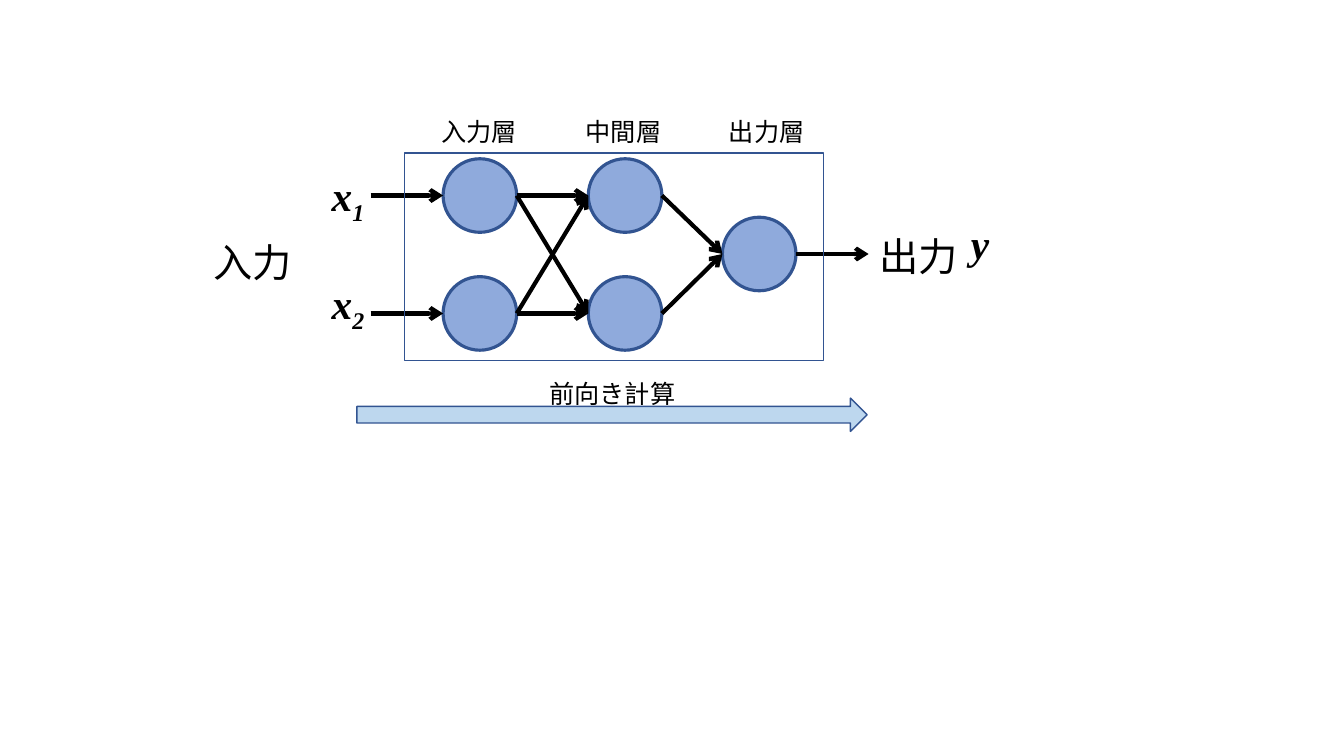
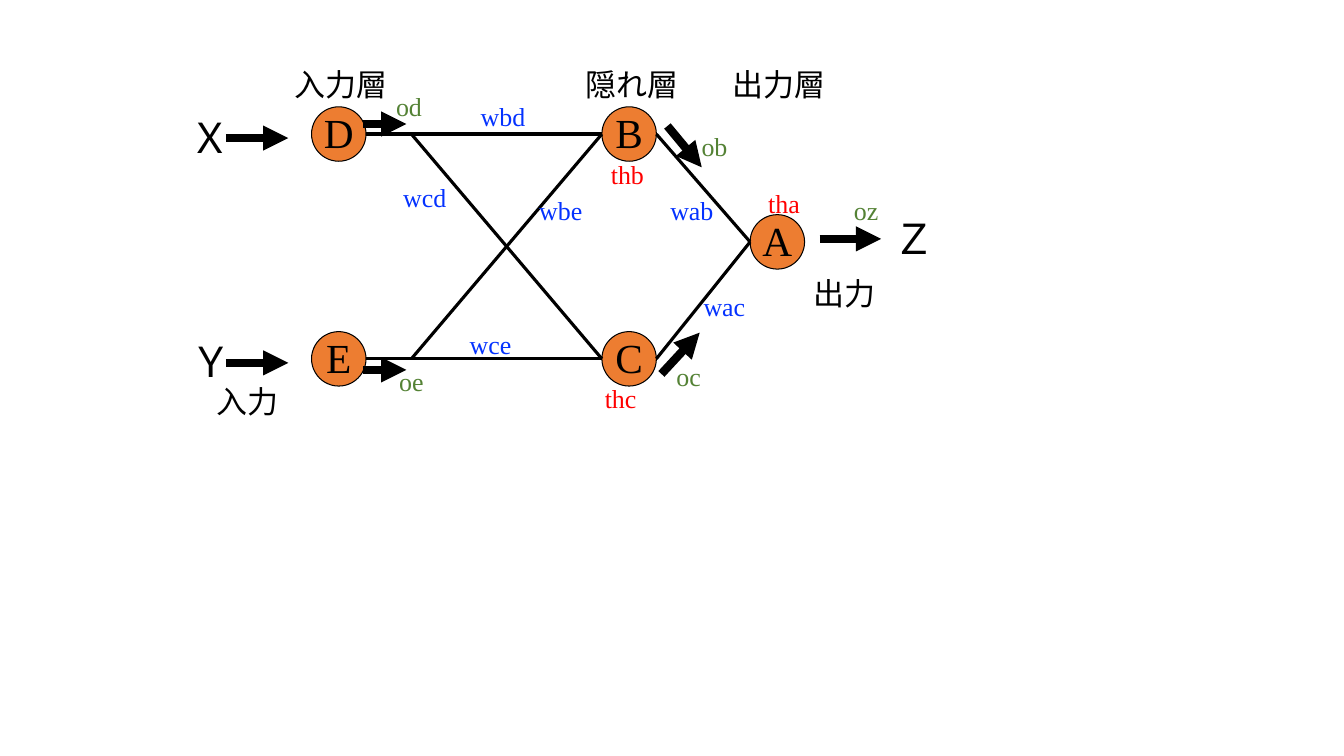
"""Two slides of neural network diagrams: forward pass, and named weights."""
from lxml import etree
from pptx import Presentation
from pptx.dml.color import RGBColor
from pptx.enum.shapes import MSO_CONNECTOR, MSO_SHAPE
from pptx.enum.text import MSO_ANCHOR, MSO_AUTO_SIZE, PP_ALIGN
from pptx.oxml.ns import qn
from pptx.util import Inches, Pt

STRAIGHT = MSO_CONNECTOR.STRAIGHT
OVAL, RECT, RIGHT_ARROW = MSO_SHAPE.OVAL, MSO_SHAPE.RECTANGLE, MSO_SHAPE.RIGHT_ARROW
CENTER, MIDDLE = PP_ALIGN.CENTER, MSO_ANCHOR.MIDDLE
GROW = MSO_AUTO_SIZE.SHAPE_TO_FIT_TEXT

BLACK = RGBColor(0x00, 0x00, 0x00)
NAVY = RGBColor(0x32, 0x54, 0x91)
SOFT_BLUE = RGBColor(0x8F, 0xAA, 0xDC)
PALE_BLUE = RGBColor(0xBD, 0xD7, 0xEE)
ORANGE = RGBColor(0xED, 0x7D, 0x31)
WEIGHT_BLUE = RGBColor(0x04, 0x32, 0xFF)
THRESHOLD_RED = RGBColor(0xFF, 0x00, 0x00)
OUTPUT_GREEN = RGBColor(0x54, 0x82, 0x35)

SANS, SERIF = "Noto Sans CJK JP", "Times New Roman"
SYMBOL_SIZE = 29.5


def set_font(p, size, color=BLACK, name=SERIF, strong=False):
    """Format a whole paragraph, with the sans face for East Asian text."""
    font = p.font
    font.size, font.name = Pt(size), name
    font.color.rgb = color
    if strong:
        font.bold = font.italic = True
    etree.SubElement(p._p.pPr.find(qn("a:defRPr")), qn("a:ea"), typeface=SANS)


def add_label(s, text, left, top, size, width=None, subscript="", **font):
    """Add a one-line label; full-width text sets its own box width."""
    width = width or len(text) * size / 72 + 0.2
    height = size * 1.2 / 72 + 0.1
    box = s.shapes.add_textbox(Inches(left), Inches(top), Inches(width), Inches(height))
    tf = box.text_frame
    tf.word_wrap, tf.auto_size = False, GROW
    p = tf.paragraphs[0]
    p.add_run().text = text
    if subscript:
        r = p.add_run()
        r.text = subscript
        r._r.get_or_add_rPr().set("baseline", "-25000")
    set_font(p, size, **font)


def add_block(s, preset, left, top, width, height, line, weight, fill=None):
    """Add an outlined preset shape, hollow unless a fill is given."""
    shape = s.shapes.add_shape(preset, Inches(left), Inches(top), Inches(width), Inches(height))
    shape.shadow.inherit = False
    if fill is None:
        shape.fill.background()
    else:
        shape.fill.solid()
        shape.fill.fore_color.rgb = fill
    shape.line.color.rgb, shape.line.width = line, Pt(weight)
    return shape


def add_node(s, center, diameter, fill, line, weight, letter=""):
    """Add a round neuron about its center, with an optional letter."""
    x, y = center
    node = add_block(s, OVAL, x - diameter / 2, y - diameter / 2,
                     diameter, diameter, line, weight, fill)
    if letter:
        tf = node.text_frame
        tf.word_wrap, tf.vertical_anchor = False, MIDDLE
        tf.margin_left = tf.margin_right = tf.margin_top = 0
        tf.margin_bottom = Inches(0.04)
        p = tf.paragraphs[0]
        p.text, p.alignment = letter, CENTER
        set_font(p, SYMBOL_SIZE)


def add_line(s, start, end, weight, arrow=None):
    """Draw a black line, with an arrowhead type at its end if given."""
    c = s.shapes.add_connector(STRAIGHT, *(Inches(v) for v in (*start, *end)))
    c.line.color.rgb, c.line.width = BLACK, Pt(weight)
    spPr = c._element.spPr
    if arrow:
        etree.SubElement(spPr.find(qn("a:ln")), qn("a:tailEnd"), type=arrow)
    etree.SubElement(spPr, qn("a:effectLst"))


def shift(point, dx):
    """Move a point sideways."""
    return point[0] + dx, point[1]


def build_forward_pass(s):
    """Build the layered network with its forward computation arrow."""
    diameter, stub = 0.73, 0.72
    radius = diameter / 2
    input_x, middle_x, output_x = 4.76, 6.2, 7.53
    top_y, middle_y, bottom_y = 1.94, 2.52, 3.11
    inputs = [(input_x, y) for y in (top_y, bottom_y)]
    hidden = [(middle_x, y) for y in (top_y, bottom_y)]
    output = (output_x, middle_y)

    for center in (*inputs, *hidden, output):
        add_node(s, center, diameter, SOFT_BLUE, NAVY, 2.25)

    links = [(a, b) for a in inputs for b in hidden] + [(b, output) for b in hidden]
    for a, b in links:
        add_line(s, shift(a, radius), shift(b, -radius), 3, "arrow")
    for a in inputs:
        add_line(s, shift(a, -radius - stub), shift(a, -radius), 3, "arrow")
    add_line(s, shift(output, radius), shift(output, radius + stub), 3, "arrow")

    for text, left in (("入力層", 4.28), ("中間層", 5.71), ("出力層", 7.13)):
        add_label(s, text, left, 1.11, 18, name=SANS)
    add_block(s, RIGHT_ARROW, 3.54, 3.95, 5.06, 0.33, NAVY, 1, PALE_BLUE)
    add_label(s, "出力", 8.62, 2.26, 28, name=SANS)
    add_label(s, "入力", 2.02, 2.31, 28, name=SANS)
    add_label(s, "前向き計算", 5.35, 3.7, 18, name=SANS)
    for index, top in (("1", 1.64), ("2", 2.71)):
        add_label(s, "x", 3.19, top, SYMBOL_SIZE, 0.55, index, strong=True)
    add_label(s, "y", 9.53, 2.12, SYMBOL_SIZE, 0.39, strong=True)
    add_block(s, RECT, 4.01, 1.52, 4.16, 2.06, NAVY, 1)


def build_weights(s):
    """Build the network with named neurons, weights, thresholds and outputs."""
    diameter = 0.54
    radius = diameter / 2
    input_x, hidden_x, output_x, branch_x = 3.36, 6.24, 7.71, 4.08
    top_y, middle_y, bottom_y = 1.33, 2.4, 3.56
    nodes = {"D": (input_x, top_y), "E": (input_x, bottom_y),
             "B": (hidden_x, top_y), "C": (hidden_x, bottom_y),
             "A": (output_x, middle_y)}
    for letter, center in nodes.items():
        add_node(s, center, diameter, ORANGE, BLACK, 0.75, letter)

    for a, b in ("DB", "EC", "BA", "CA"):
        add_line(s, shift(nodes[a], radius), shift(nodes[b], -radius), 2.25)
    for y, target in ((bottom_y, "B"), (top_y, "C")):
        add_line(s, (branch_x, y), shift(nodes[target], -radius), 2.25)

    signals = (
        ((2.24, 1.37), (2.86, 1.37)), ((2.24, 3.6), (2.86, 3.6)),
        ((8.13, 2.37), (8.74, 2.37)), ((6.62, 1.25), (6.96, 1.66)),
        ((6.56, 3.71), (6.94, 3.3)), ((3.6, 3.67), (4.03, 3.67)),
        ((3.6, 1.23), (4.03, 1.23)),
    )
    for start, end in signals:
        add_line(s, start, end, 6, "triangle")

    captions = (("入力層", 2.82, 0.6), ("隠れ層", 5.71, 0.6), ("出力層", 7.17, 0.6),
                ("入力", 2.05, 3.75), ("出力", 7.97, 2.67))
    for text, left, top in captions:
        add_label(s, text, left, top, 22.1)
    for text, left, top in (("Ｘ", 1.78, 1.06), ("Ｙ", 1.79, 3.29), ("Ｚ", 8.76, 2.07)):
        add_label(s, text, left, top, SYMBOL_SIZE)

    names = (
        (WEIGHT_BLUE, 0.67, (("wbd", 4.67, 0.95), ("wcd", 3.9, 1.75), ("wbe", 5.25, 1.88),
                             ("wce", 4.56, 3.21), ("wab", 6.55, 1.88), ("wac", 6.88, 2.83))),
        (THRESHOLD_RED, 0.55, (("thb", 5.96, 1.52), ("thc", 5.9, 3.75), ("tha", 7.52, 1.81))),
        (OUTPUT_GREEN, 0.48, (("ob", 6.86, 1.25), ("oc", 6.61, 3.53), ("oz", 8.37, 1.88),
                              ("od", 3.83, 0.85), ("oe", 3.86, 3.58))),
    )
    for color, width, labels in names:
        for text, left, top in labels:
            add_label(s, text, left, top, 18.5, width, color=color)


def main():
    """Build both slides and save the deck."""
    prs = Presentation()
    prs.slide_width, prs.slide_height = Inches(13.33), Inches(7.5)
    blank = prs.slide_layouts[6]
    for build in (build_forward_pass, build_weights):
        build(prs.slides.add_slide(blank))
    prs.save("out.pptx")


main()
